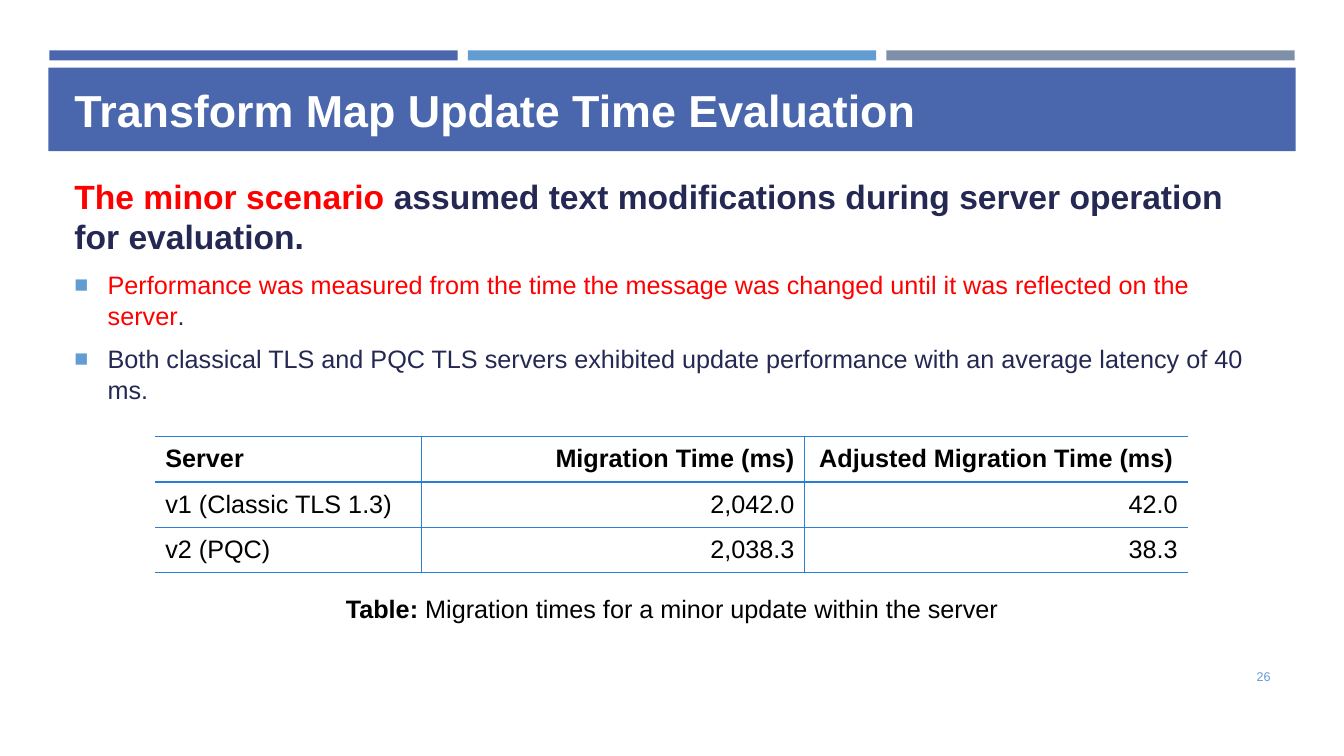
import pptx
import pptx.dml.color
import pptx.enum.shapes
import pptx.enum.text
import pptx.oxml
import pptx.oxml.ns
import pptx.util

Inches = pptx.util.Inches
Pt = pptx.util.Pt
RGBColor = pptx.dml.color.RGBColor
ALIGN = pptx.enum.text.PP_ALIGN
ANCHOR = pptx.enum.text.MSO_ANCHOR

INDIGO = RGBColor(0x4A, 0x66, 0xAC)
SKY = RGBColor(0x62, 0x9D, 0xD1)
SLATE = RGBColor(0x7F, 0x8F, 0xA9)
NAVY = RGBColor(0x24, 0x28, 0x52)
RULE = RGBColor(0x29, 0x7F, 0xD5)
RED = RGBColor(0xFF, 0, 0)
BLACK = RGBColor(0, 0, 0)
WHITE = RGBColor(0xFF, 0xFF, 0xFF)


class SlideBuilder:
    font = "Arial"
    bullet_indent = 0.33

    def __init__(self, slide):
        self.slide = slide

    def element(self, parent, xml):
        tag, rest = xml.split(" ", 1)
        ns = pptx.oxml.ns.nsdecls("a")
        parent.append(pptx.oxml.parse_xml(f"<{tag} {ns} {rest}"))

    def bar(self, left, top, width, height, color):
        bar = self.slide.shapes.add_shape(
            pptx.enum.shapes.MSO_SHAPE.RECTANGLE,
            Inches(left), Inches(top), Inches(width), Inches(height))
        bar.shadow.inherit = False
        bar.fill.solid()
        bar.fill.fore_color.rgb = color
        bar.line.fill.background()

    def runs(self, paragraph, size, parts, align=ALIGN.LEFT):
        """Each part is (text, color, bold)."""
        paragraph.alignment = align
        for text, color, bold in parts:
            run = paragraph.add_run()
            run.text = text
            run.font.name = self.font
            run.font.size = Pt(size)
            run.font.bold = bold
            run.font.color.rgb = color

    def frame(self, left, top, width, height, anchor=ANCHOR.TOP):
        box = self.slide.shapes.add_textbox(
            Inches(left), Inches(top), Inches(width), Inches(height))
        box.text_frame.word_wrap = True
        box.text_frame.vertical_anchor = anchor
        return box.text_frame

    def text(self, place, size, parts, align=ALIGN.LEFT, anchor=ANCHOR.TOP):
        self.runs(self.frame(*place, anchor).paragraphs[0], size, parts, align)

    def bullet(self, paragraph):
        properties = paragraph._p.get_or_add_pPr()
        properties.set("marL", str(Inches(self.bullet_indent)))
        properties.set("indent", str(-Inches(self.bullet_indent)))
        self.element(properties, f'a:buClr ><a:srgbClr val="{SKY}"/></a:buClr>')
        self.element(properties, 'a:buSzPct val="92000"/>')
        self.element(properties, f'a:buFont typeface="{self.font}"/>')
        self.element(properties, 'a:buChar char="■"/>')

    def body(self, place, lead, points):
        frame = self.frame(*place, ANCHOR.MIDDLE)
        self.runs(frame.paragraphs[0], 24, lead)
        frame.paragraphs[0].space_after = Pt(6)
        for parts in points:
            paragraph = frame.add_paragraph()
            self.bullet(paragraph)
            paragraph.space_before = Pt(3.6)
            paragraph.space_after = Pt(6)
            self.runs(paragraph, 18, parts)

    def borders(self, cell, widths):
        properties = cell._tc.get_or_add_tcPr()
        for side, width in widths.items():
            line = (f'<a:solidFill><a:srgbClr val="{RULE}"/></a:solidFill>'
                    if width else "<a:noFill/>")
            self.element(properties,
                         f'a:ln{side} w="{Pt(width)}">{line}</a:ln{side}>')

    def table(self, left, top, column_widths, row_height, rows, header_aligns):
        last = len(column_widths) - 1
        table = self.slide.shapes.add_table(
            len(rows), len(column_widths), Inches(left), Inches(top),
            Inches(sum(column_widths)), Inches(row_height * len(rows))).table
        table.first_row = table.horz_banding = False
        for column, width in zip(table.columns, column_widths):
            column.width = Inches(width)
        for r, values in enumerate(rows):
            table.rows[r].height = Inches(row_height)
            for c, value in enumerate(values):
                cell = table.cell(r, c)
                cell.vertical_anchor = ANCHOR.MIDDLE
                # Open left and right edges, heavier rule below the header
                self.borders(cell, {"L": int(c > 0), "R": int(c < last),
                                    "T": 2 if r == 1 else 1,
                                    "B": 2 if r == 0 else 1})
                cell.fill.background()
                value_align = ALIGN.RIGHT if c else ALIGN.LEFT
                self.runs(cell.text_frame.paragraphs[0], 18,
                          [(value, BLACK, r == 0)],
                          value_align if r else header_aligns[c])


def main():
    deck = pptx.Presentation()
    deck.slide_width, deck.slide_height = Inches(13.33), Inches(7.5)
    page = SlideBuilder(deck.slides.add_slide(deck.slide_layouts[6]))

    # Header stripes and title band
    for i, color in enumerate((INDIGO, SKY, SLATE)):
        page.bar(0.49 + 4.15 * i, 0.5, 4.05, 0.1, color)
    page.bar(0.48, 0.67, 12.37, 0.83, INDIGO)
    page.text((0.64, 0.77, 12.06, 0.64), 32,
              [("Transform Map Update Time Evaluation", WHITE, True)])

    # Scenario and findings
    page.body(
        (0.64, 1.78, 12.06, 2.19),
        [("The minor scenario", RED, True),
         (" assumed text modifications during server operation for evaluation.",
          NAVY, True)],
        [[("Performance was measured from the time the message was changed "
           "until it was reflected on the server", RED, False),
          (".", NAVY, False)],
         [("Both classical TLS and PQC TLS servers exhibited update "
           "performance with an average latency of 40 ms.", NAVY, False)]])

    # Migration times
    page.table(1.54, 4.33, (2.64, 3.8, 3.8), 0.45,
               [("Server", "Migration Time (ms)", "Adjusted Migration Time (ms)"),
                ("v1 (Classic TLS 1.3)", "2,042.0", "42.0"),
                ("v2 (PQC)", "2,038.3", "38.3")],
               (ALIGN.LEFT, ALIGN.RIGHT, ALIGN.CENTER))
    page.text((1.54, 5.84, 10.25, 0.4), 18,
              [("Table: ", BLACK, True),
               ("Migration times for a minor update within the server",
                BLACK, False)], ALIGN.CENTER)

    # Page number
    page.text((11.55, 6.51, 1.15, 0.4), 9, [("26", SKY, False)],
              ALIGN.RIGHT, ANCHOR.MIDDLE)

    deck.save("out.pptx")


if __name__ == "__main__":
    main()
